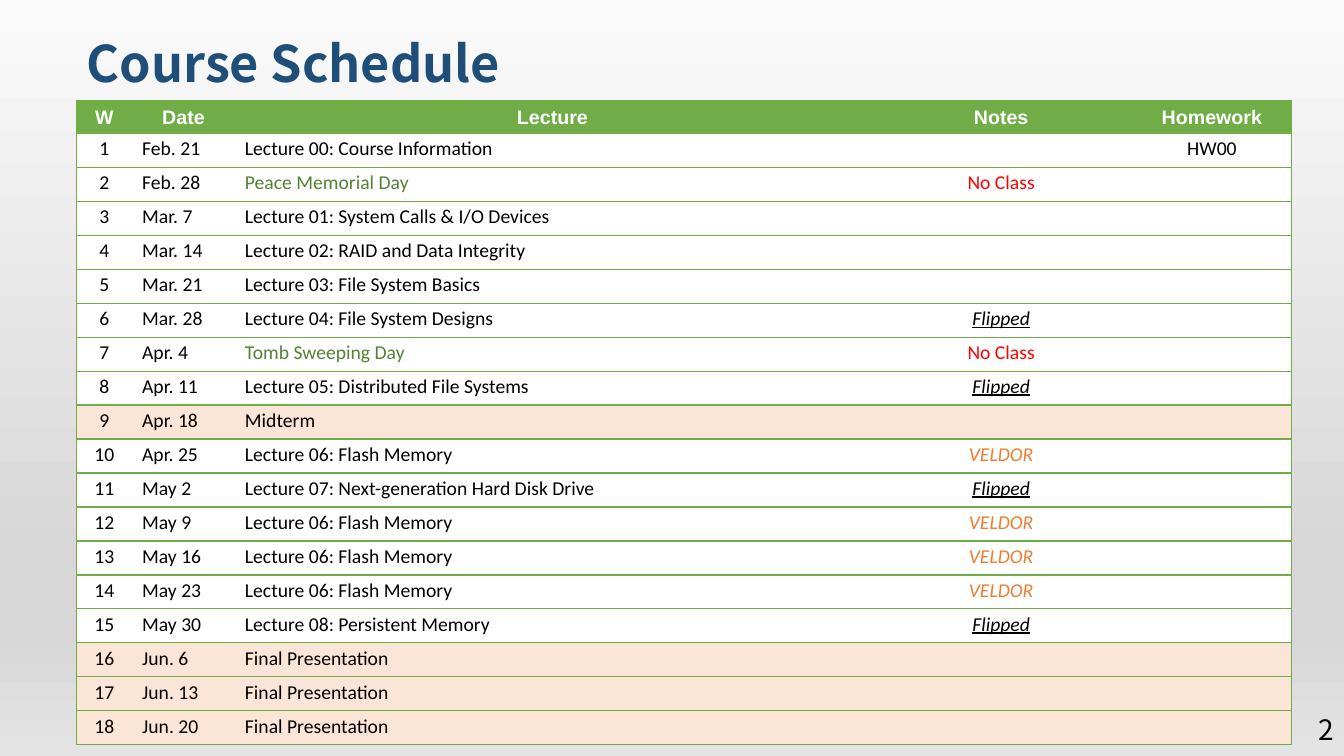
from lxml.etree import SubElement
from pptx import Presentation
from pptx.dml.color import RGBColor
from pptx.enum.shapes import MSO_SHAPE
from pptx.enum.text import MSO_ANCHOR, MSO_AUTO_SIZE, PP_ALIGN
from pptx.oxml.ns import qn
from pptx.util import Inches, Pt

GREEN = RGBColor(0x70, 0xAD, 0x47)
DARK_GREEN = RGBColor(0x54, 0x82, 0x35)
NAVY = RGBColor(0x1F, 0x4E, 0x79)
PEACH = RGBColor(0xFB, 0xE5, 0xD6)
ORANGE = RGBColor(0xED, 0x7D, 0x31)
RED = RGBColor(0xFF, 0x00, 0x00)
WHITE = RGBColor(0xFF, 0xFF, 0xFF)
BLACK = RGBColor(0x00, 0x00, 0x00)
BACKDROP = [(0, "FAFAFA"), (74, "D7D7D7"), (83, "D7D7D7"), (100, "E4E4E4")]
TITLE_FONT = "Noto Sans CJK TC"

# Content
TITLE = "Course Schedule"
PAGE = "2"
HEADER = ("W", "Date", "Lecture", "Notes", "Homework")
WEEKS = [  # date, lecture, notes, homework
    ("Feb. 21", "Lecture 00: Course Information", "", "HW00"),
    ("Feb. 28", "Peace Memorial Day", "No Class", ""),
    ("Mar. 7", "Lecture 01: System Calls & I/O Devices", "", ""),
    ("Mar. 14", "Lecture 02: RAID and Data Integrity", "", ""),
    ("Mar. 21", "Lecture 03: File System Basics", "", ""),
    ("Mar. 28", "Lecture 04: File System Designs", "Flipped", ""),
    ("Apr. 4", "Tomb Sweeping Day", "No Class", ""),
    ("Apr. 11", "Lecture 05: Distributed File Systems", "Flipped", ""),
    ("Apr. 18", "Midterm", "", ""),
    ("Apr. 25", "Lecture 06: Flash Memory", "VELDOR", ""),
    ("May 2", "Lecture 07: Next-generation Hard Disk Drive", "Flipped", ""),
    ("May 9", "Lecture 06: Flash Memory", "VELDOR", ""),
    ("May 16", "Lecture 06: Flash Memory", "VELDOR", ""),
    ("May 23", "Lecture 06: Flash Memory", "VELDOR", ""),
    ("May 30", "Lecture 08: Persistent Memory", "Flipped", ""),
    ("Jun. 6", "Final Presentation", "", ""),
    ("Jun. 13", "Final Presentation", "", ""),
    ("Jun. 20", "Final Presentation", "", ""),
]
EXAMS = ("Midterm", "Final Presentation")
HOLIDAYS = ("Peace Memorial Day", "Tomb Sweeping Day")
NOTE_COLORS = {"No Class": RED, "VELDOR": ORANGE}
LEFT_COLUMNS = ("Date", "Lecture")

# Layout
COLUMN_WIDTHS = (0.55, 1.02, 6.3, 2.6, 1.58)
TABLE_LEFT, TABLE_TOP, TABLE_HEIGHT = 0.76, 1, 6.39
HEADER_HEIGHT = 0.32
NO_GRID_STYLE = "{2D5ABB26-0587-4C30-8999-92F81FD0307C}"


def style_text(paragraph, size, font, color, bold=False):
    for run in paragraph.runs:
        run.font.size = Pt(size)
        run.font.name = font
        run.font.color.rgb = color
        run.font.bold = bold


def add_border(cell, side):
    line = SubElement(cell._tc.get_or_add_tcPr(), qn("a:ln" + side), w=str(Pt(1)))
    fill = SubElement(line, qn("a:solidFill"))
    SubElement(fill, qn("a:srgbClr"), val=str(GREEN))


def fill_cell(cell, text, column, fill, is_header):
    last = len(HEADER) - 1
    sides = (["L"] if column == 0 else []) + (["R"] if column == last else []) + ["T", "B"]
    for side in sides:
        add_border(cell, side)
    cell.fill.solid()
    cell.fill.fore_color.rgb = fill

    paragraph = cell.text_frame.paragraphs[0]
    if not text:
        # An empty cell keeps the height of a 14 pt line
        mark = SubElement(paragraph._p, qn("a:endParaRPr"), sz="1400")
        SubElement(mark, qn("a:latin"), typeface="Calibri")
        return
    paragraph.text = text
    paragraph.line_spacing = Pt(16)
    left = HEADER[column] in LEFT_COLUMNS and not is_header
    paragraph.alignment = PP_ALIGN.LEFT if left else PP_ALIGN.CENTER
    if is_header:
        style_text(paragraph, 14, "Arial", WHITE, bold=True)
        return
    color = DARK_GREEN if text in HOLIDAYS else NOTE_COLORS.get(text, BLACK)
    style_text(paragraph, 14, "Calibri", color)
    for run in paragraph.runs:
        run.font.italic = text in ("Flipped", "VELDOR")
        run.font.underline = text == "Flipped"


def main():
    prs = Presentation()
    prs.slide_width, prs.slide_height = Inches(13.33), Inches(7.5)
    slide = prs.slides.add_slide(prs.slide_layouts[5])

    # Backdrop gradient, top to bottom, behind everything
    backdrop = slide.shapes.add_shape(
        MSO_SHAPE.RECTANGLE, 0, 0, prs.slide_width, prs.slide_height)
    backdrop.shadow.inherit = False
    backdrop.line.fill.background()
    backdrop.fill.gradient()
    backdrop.fill.gradient_angle = 270
    stops = next(backdrop._element.iter(qn("a:gsLst")))
    for stop in list(stops):
        stops.remove(stop)
    for percent, color in BACKDROP:
        stop = SubElement(stops, qn("a:gs"), pos=str(percent * 1000))
        SubElement(stop, qn("a:srgbClr"), val=color)
    slide.shapes.title._element.addprevious(backdrop._element)

    # Title
    title = slide.shapes.title
    title.left, title.top = Inches(0.76), Inches(0.21)
    title.width, title.height = Inches(11.31), Inches(0.77)
    title.text_frame.text = TITLE
    title.text_frame.auto_size = MSO_AUTO_SIZE.NONE
    title.text_frame.vertical_anchor = MSO_ANCHOR.BOTTOM
    heading = title.text_frame.paragraphs[0]
    heading.alignment = PP_ALIGN.LEFT
    heading.line_spacing = 0.9
    style_text(heading, 36, TITLE_FONT, NAVY, bold=True)

    # Schedule table
    rows = [HEADER] + [(str(n), *week) for n, week in enumerate(WEEKS, 1)]
    schedule = slide.shapes.add_table(
        len(rows), len(HEADER), Inches(TABLE_LEFT), Inches(TABLE_TOP),
        Inches(sum(COLUMN_WIDTHS)), Inches(TABLE_HEIGHT)).table
    schedule.horz_banding = False
    next(schedule._tbl.iter(qn("a:tableStyleId"))).text = NO_GRID_STYLE
    for column, width in zip(schedule.columns, COLUMN_WIDTHS):
        column.width = Inches(width)
    week_height = (TABLE_HEIGHT - HEADER_HEIGHT) / len(WEEKS)
    for r, row in enumerate(rows):
        is_header = r == 0
        schedule.rows[r].height = Inches(HEADER_HEIGHT if is_header else week_height)
        fill = GREEN if is_header else PEACH if row[2] in EXAMS else WHITE
        for c, text in enumerate(row):
            fill_cell(schedule.cell(r, c), text, c, fill, is_header)

    # Page number
    page = slide.shapes.add_textbox(Inches(12.08), Inches(7.14), Inches(1.25), Inches(0.2))
    page.text_frame.word_wrap = True
    page.text_frame.vertical_anchor = MSO_ANCHOR.MIDDLE
    page.text_frame.text = PAGE
    number = page.text_frame.paragraphs[0]
    number.alignment = PP_ALIGN.RIGHT
    style_text(number, 20, TITLE_FONT, BLACK)

    prs.save("out.pptx")


if __name__ == "__main__":
    main()
